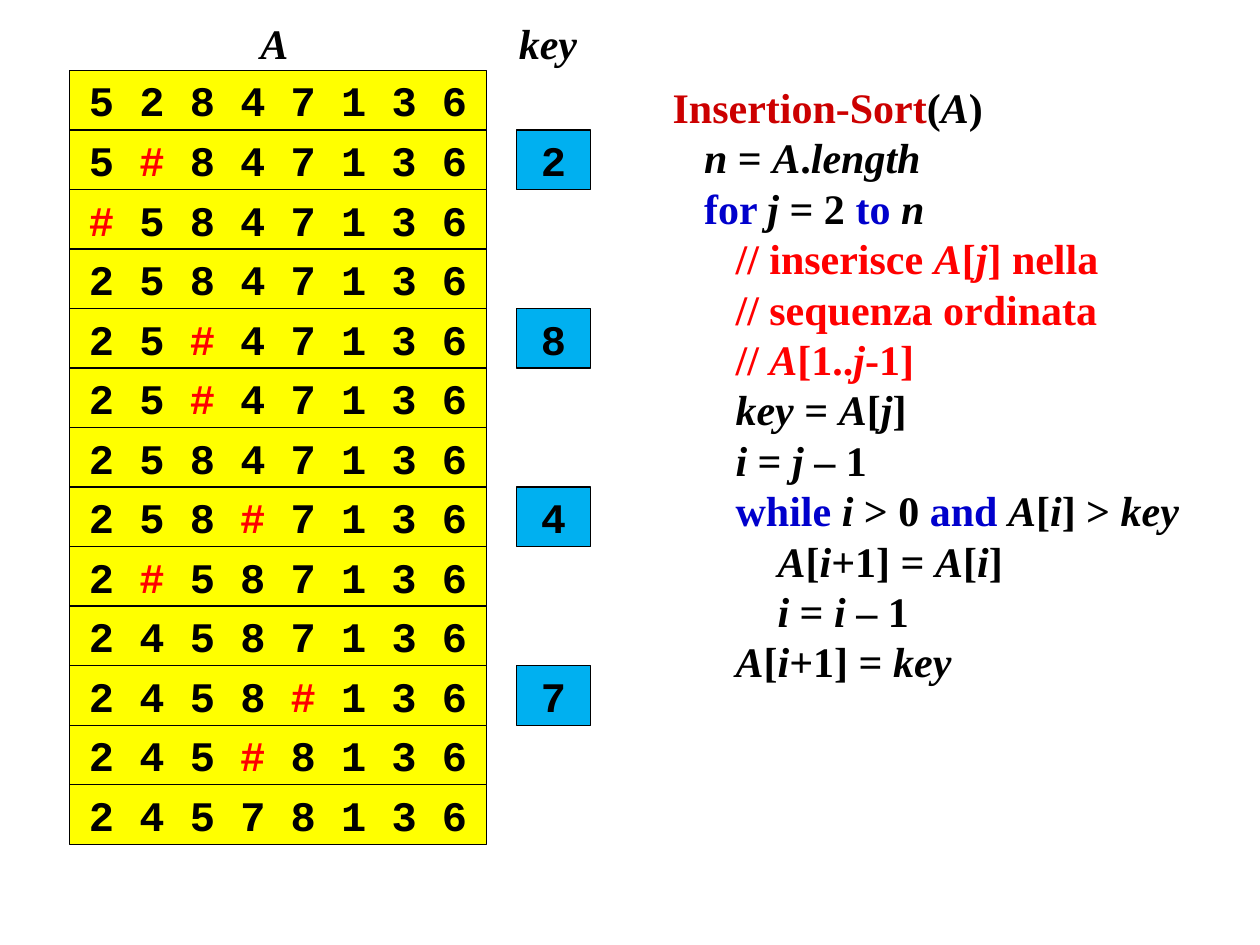
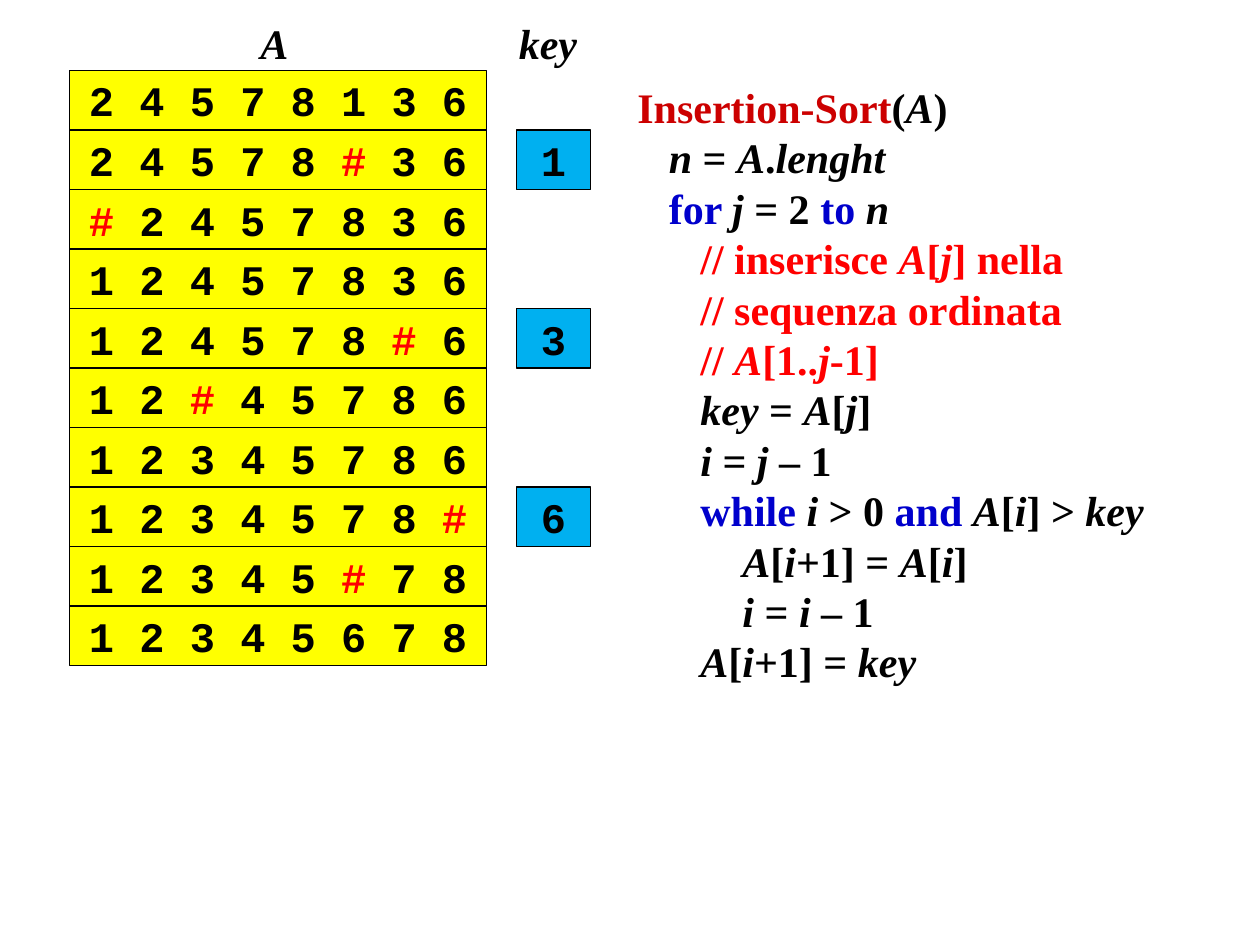
"""Build two slides that trace insertion sort beside its pseudocode."""

from pptx import Presentation
from pptx.dml.color import RGBColor
from pptx.enum.shapes import MSO_SHAPE
from pptx.enum.text import MSO_ANCHOR, PP_ALIGN
from pptx.util import Cm, Pt

RECTANGLE = MSO_SHAPE.RECTANGLE
MIDDLE = MSO_ANCHOR.MIDDLE
CENTER = PP_ALIGN.CENTER

BLACK, RED, BLUE, DARK_RED = "000000", "FF0000", "0000CC", "CC0000"
YELLOW, SKY = "FFFF00", "00B0F0"
SERIF, MONO = "Times New Roman", "Courier New"

TRACE_TOP, ROW_HEIGHT = 1.42, 1.2
ARRAY_LEFT, ARRAY_WIDTH = 1.4, 8.41
KEY_LEFT, KEY_WIDTH = 10.41, 1.5
FIRST_KEY_ROW, ROWS_PER_KEY = 1, 3
SPACE_WIDTH = 6

# Each line is (indent in spaces, text); *italic* and _accent_ mark spans.
CODE_LINES = [
    (0, "_Insertion-Sort_(*A*)"),
    (3, "*n* = *A*.*{length}*"),
    (3, "_for _*j* = 2 _to _*n*"),
    (6, "// inserisce *A*[*j*] nella"),
    (6, "// sequenza ordinata"),
    (6, "// *A*[1..*j*-1]"),
    (6, "*key* = *A*[*j*]"),
    (6, "*i* = *j* – 1"),
    (6, "_while _*i* > 0 _and _*A*[*i*] > *key*"),
    (10, "*A*[*i*+1] = *A*[*i*]"),
    (10, "*i* = *i* – 1"),
    (6, "*A*[*i*+1] = *key*"),
]

TRACES = [
    {
        "rows": ["52847136", "5#847136", "#5847136", "25847136", "25#47136",
                 "25#47136", "25847136", "258#7136", "2#587136", "24587136",
                 "2458#136", "245#8136", "24578136"],
        "keys": "2847",
        "code_left": 13.31,
        "code_width": 11.15,
        "length": "length",
    },
    {
        "rows": ["24578136", "24578#36", "#2457836", "12457836", "124578#6",
                 "12#45786", "12345786", "1234578#", "12345#78", "12345678"],
        "keys": "136",
        "code_left": 12.6,
        "code_width": 11.91,
        "length": "lenght",
    },
]


def color(value):
    """Turn a hex string into a colour."""
    return RGBColor.from_string(value)


def add_run(paragraph, text, font_name, text_color=BLACK, italic=False):
    """Append a bold 24-point run."""
    run = paragraph.add_run()
    run.text = text
    run.font.name = font_name
    run.font.size = Pt(24)
    run.font.bold = True
    run.font.italic = italic
    run.font.color.rgb = color(text_color)


def add_text_box(slide, left, top, width, height):
    """Add a wrapping text box and return its text frame."""
    box = slide.shapes.add_textbox(Cm(left), Cm(top), Cm(width), Cm(height))
    box.text_frame.word_wrap = True
    return box.text_frame


def add_label(slide, text, left, width):
    """Add an italic heading above a trace column."""
    text_frame = add_text_box(slide, left, 0.23, width, 1.27)
    add_run(text_frame.paragraphs[0], text, SERIF, italic=True)


def add_cell(slide, text, row, left, width, fill_color):
    """Add a bordered box on a trace row, with each # in red."""
    top = TRACE_TOP + row * ROW_HEIGHT
    shape = slide.shapes.add_shape(
        RECTANGLE, Cm(left), Cm(top), Cm(width), Cm(ROW_HEIGHT))
    shape.shadow.inherit = False
    shape.fill.solid()
    shape.fill.fore_color.rgb = color(fill_color)
    shape.line.color.rgb = color(BLACK)
    shape.line.width = Pt(0.75)
    shape.text_frame.word_wrap = False
    shape.text_frame.vertical_anchor = MIDDLE
    paragraph = shape.text_frame.paragraphs[0]
    paragraph.alignment = CENTER
    for part in text.partition("#"):
        if part:
            add_run(paragraph, part, MONO, RED if part == "#" else BLACK)


def add_code_line(paragraph, indent, line):
    """Write one marked-up line of pseudocode."""
    paragraph._p.get_or_add_pPr().set("marL", str(Pt(indent * SPACE_WIDTH)))
    base = RED if line.startswith("//") else BLACK
    accent = BLUE if indent else DARK_RED
    for span_index, span in enumerate(line.split("*")):
        for part_index, part in enumerate(span.split("_")):
            if part:
                text_color = accent if part_index % 2 else base
                add_run(paragraph, part, SERIF, text_color, span_index % 2 == 1)


def add_code(slide, left, width, length):
    """Add the pseudocode of the algorithm."""
    text_frame = add_text_box(slide, left, 1.52, width, 12.57)
    for index, (indent, line) in enumerate(CODE_LINES):
        paragraph = text_frame.add_paragraph() if index else text_frame.paragraphs[0]
        add_code_line(paragraph, indent, line.replace("{length}", length))


def add_trace(slide, rows, keys):
    """Add the array states and the key held at each insertion."""
    add_label(slide, "A", 5, 1.19)
    add_label(slide, "key", 10.21, 2.39)
    for row, values in enumerate(rows):
        add_cell(slide, " ".join(values), row, ARRAY_LEFT, ARRAY_WIDTH, YELLOW)
    for index, key in enumerate(keys):
        row = FIRST_KEY_ROW + index * ROWS_PER_KEY
        add_cell(slide, key, row, KEY_LEFT, KEY_WIDTH, SKY)


def main():
    """Build and save the presentation."""
    presentation = Presentation()
    presentation.slide_width = Cm(25.4)
    presentation.slide_height = Cm(19.05)
    blank_layout = presentation.slide_layouts[6]
    for trace in TRACES:
        slide = presentation.slides.add_slide(blank_layout)
        add_code(slide, trace["code_left"], trace["code_width"], trace["length"])
        add_trace(slide, trace["rows"], trace["keys"])
    presentation.save("out.pptx")


if __name__ == "__main__":
    main()
